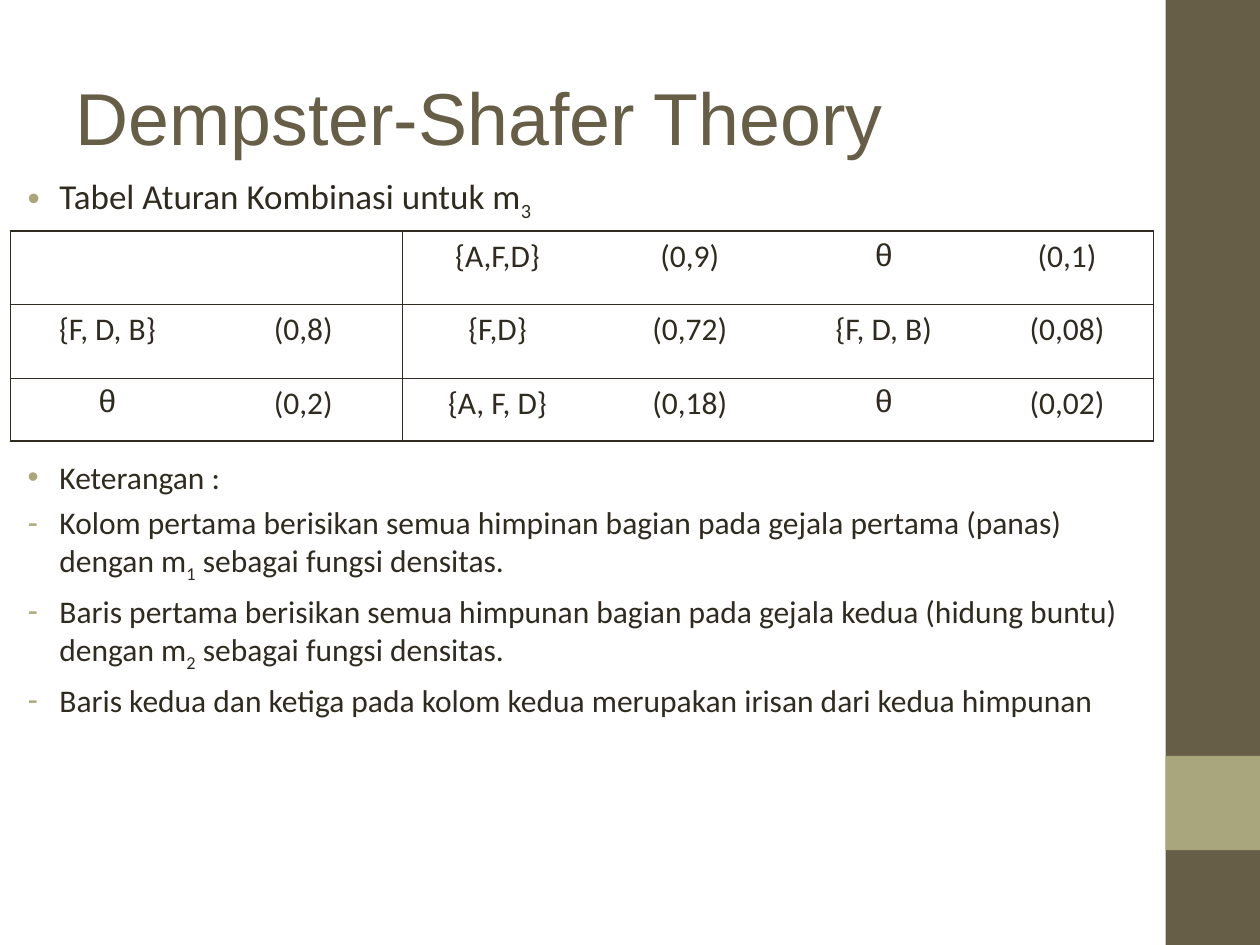
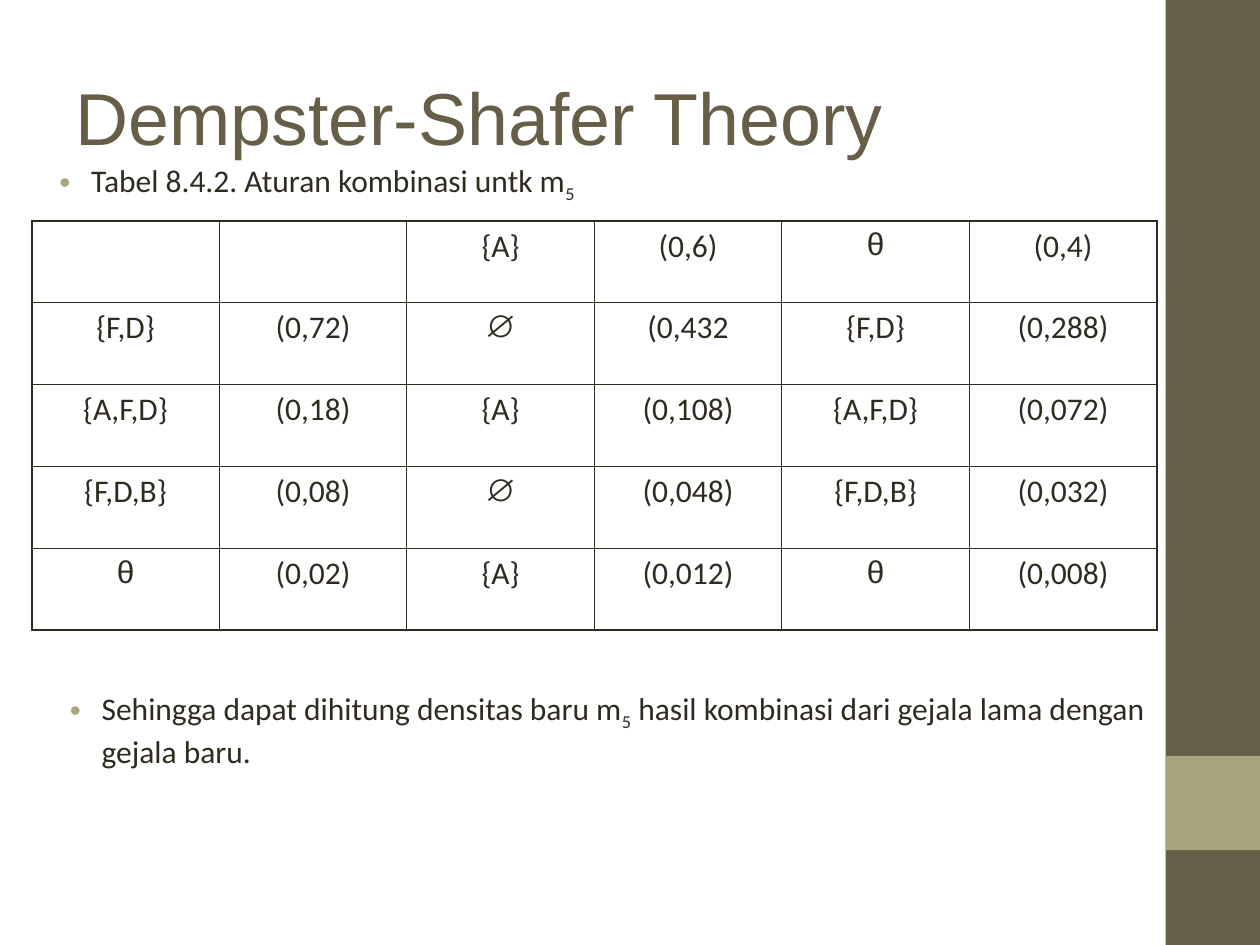
from dataclasses import dataclass

from lxml import etree
from pptx import Presentation
from pptx.dml.color import RGBColor
from pptx.enum.shapes import MSO_SHAPE
from pptx.enum.text import MSO_ANCHOR, PP_ALIGN
from pptx.oxml.ns import qn
from pptx.util import Cm, Pt

RECTANGLE = MSO_SHAPE.RECTANGLE
MIDDLE = MSO_ANCHOR.MIDDLE
CENTER = PP_ALIGN.CENTER


@dataclass(frozen=True)
class Theme:
    brown: str = "675E47"
    sage: str = "A9A57C"
    ink: str = "2F2B20"
    title_font: str = "Arial"
    body_font: str = "Calibri"
    symbol_font: str = "Arial"
    title_size: float = 42
    body_size: float = 18
    space_before: float = 4.5
    outer_line: float = 1.08
    inner_line: float = 0.45


THEME = Theme()

# Content: boxes are left, top, width, height in cm; "_" before a digit lowers it
PAGE_WIDTH, PAGE_HEIGHT = 25.4, 19.05
TITLE = "Dempster-Shafer Theory"
TITLE_BOX = (1.27, 0.76, 21.17, 3.18)
BAND_WIDTH = 1.9
ACCENT_TOP, ACCENT_HEIGHT = 15.24, 1.9
SYMBOLS = ("θ", "∅")

SLIDES = [
    {
        "caption": {"box": (0, 3.39, 23.28, 1.48), "size": 20,
                    "items": [("•", "Tabel Aturan Kombinasi untuk m_3")]},
        "table": {
            "corner": (0.21, 4.66),
            "columns": [3.91, 3.99, 3.84, 3.91, 3.91, 3.48],
            "rows": [1.48, 1.48, 1.27],
            "dividers": [2],
            "cells": [
                ["", "", "{A,F,D}", "(0,9)", "θ", "(0,1)"],
                ["{F, D, B}", "(0,8)", "{F,D}", "(0,72)", "{F, D, B)", "(0,08)"],
                ["θ", "(0,2)", "{A, F, D}", "(0,18)", "θ", "(0,02)"],
            ],
        },
        "notes": {"box": (0, 9.1, 23.28, 9.9), "size": THEME.body_size, "items": [
            ("•", "Keterangan :"),
            ("-", "Kolom pertama berisikan semua himpinan bagian pada gejala "
                  "pertama (panas) dengan m_1 sebagai fungsi densitas."),
            ("-", "Baris pertama berisikan semua himpunan bagian pada gejala "
                  "kedua (hidung buntu) dengan m_2 sebagai fungsi densitas."),
            ("-", "Baris kedua dan ketiga pada kolom kedua merupakan irisan "
                  "dari kedua himpunan"),
        ]},
    },
    {
        "caption": {"box": (0.64, 3.12, 22.23, 1.55), "size": THEME.body_size,
                    "items": [("•", "Tabel 8.4.2. Aturan kombinasi untk m_5")]},
        "table": {
            "corner": (0.64, 4.45),
            "columns": [3.78] * 6,
            "rows": [1.65] * 5,
            "dividers": [1, 2, 3, 4, 5],
            "cells": [
                ["", "", "{A}", "(0,6)", "θ", "(0,4)"],
                ["{F,D}", "(0,72)", "∅", "(0,432", "{F,D}", "(0,288)"],
                ["{A,F,D}", "(0,18)", "{A}", "(0,108)", "{A,F,D}", "(0,072)"],
                ["{F,D,B}", "(0,08)", "∅", "(0,048)", "{F,D,B}", "(0,032)"],
                ["θ", "(0,02)", "{A}", "(0,012)", "θ", "(0,008)"],
            ],
        },
        "notes": {"box": (0.85, 13.76, 23.28, 3.18), "size": THEME.body_size, "items": [
            ("•", "Sehingga dapat dihitung densitas baru m_5 hasil kombinasi "
                  "dari gejala lama dengan gejala baru."),
        ]},
    },
]


def lengths(values):
    return [Cm(value) for value in values]


# Text
def add_run(paragraph, text, font, size, color, lowered=False):
    run = paragraph.add_run()
    run.text = text
    run.font.name = font
    run.font.size = Pt(size)
    run.font.color.rgb = RGBColor.from_string(color)
    if lowered:
        run.font._element.set("baseline", "-25000")


def add_text_frame(slide, box):
    frame = slide.shapes.add_textbox(*lengths(box)).text_frame
    frame.word_wrap = True
    return frame


def set_bullet(paragraph, mark):
    properties = paragraph._p.get_or_add_pPr()
    properties.set("marL", str(Cm(0.95)))
    properties.set("indent", str(Cm(-0.64)))
    color = etree.SubElement(properties, qn("a:buClr"))
    etree.SubElement(color, qn("a:srgbClr"), val=THEME.sage)
    etree.SubElement(properties, qn("a:buFont"), typeface=THEME.symbol_font)
    etree.SubElement(properties, qn("a:buChar"), char=mark)


def add_list(slide, box, size, items):
    frame = add_text_frame(slide, box)
    for index, (mark, text) in enumerate(items):
        paragraph = frame.paragraphs[0] if index == 0 else frame.add_paragraph()
        paragraph.space_before = Pt(size / 4)
        set_bullet(paragraph, mark)
        start, *lowered_parts = text.split("_")
        add_run(paragraph, start, THEME.body_font, size, THEME.ink)
        for part in lowered_parts:
            add_run(paragraph, part[0], THEME.body_font, size, THEME.ink, lowered=True)
            if part[1:]:
                add_run(paragraph, part[1:], THEME.body_font, size, THEME.ink)


# Table
def set_border(cell, side, width):
    properties = cell._tc.get_or_add_tcPr()
    line = etree.SubElement(properties, qn(f"a:ln{side}"), w=str(Pt(width)))
    if width:
        fill = etree.SubElement(line, qn("a:solidFill"))
        etree.SubElement(fill, qn("a:srgbClr"), val=THEME.ink)
    else:
        etree.SubElement(line, qn("a:noFill"))


def edge_width(position, last, dividers):
    if position in (0, last):
        return THEME.outer_line
    return THEME.inner_line if position in dividers else 0


def add_rule_table(slide, corner, columns, rows, dividers, cells):
    box = (*corner, sum(columns), sum(rows))
    table = slide.shapes.add_table(len(rows), len(columns), *lengths(box)).table
    table.first_row = table.horz_banding = False
    for column, width in zip(table.columns, columns):
        column.width = Cm(width)
    for row, height in zip(table.rows, rows):
        row.height = Cm(height)

    row_lines = range(1, len(rows))
    for row_index, texts in enumerate(cells):
        for column_index, text in enumerate(texts):
            cell = table.cell(row_index, column_index)
            # Borders must come before the fill in the cell properties
            for side, offset in (("L", 0), ("R", 1)):
                set_border(cell, side, edge_width(column_index + offset, len(columns), dividers))
            for side, offset in (("T", 0), ("B", 1)):
                set_border(cell, side, edge_width(row_index + offset, len(rows), row_lines))
            cell.fill.background()
            if text:
                paragraph = cell.text_frame.paragraphs[0]
                paragraph.alignment = CENTER
                paragraph.space_before = Pt(THEME.space_before)
                font = THEME.symbol_font if text in SYMBOLS else THEME.body_font
                add_run(paragraph, text, font, THEME.body_size, THEME.ink)


# Parts shared by the slides
def add_band(slide, top, height, color):
    box = (PAGE_WIDTH - BAND_WIDTH, top, BAND_WIDTH, height)
    band = slide.shapes.add_shape(RECTANGLE, *lengths(box))
    band.shadow.inherit = False
    band.fill.solid()
    band.fill.fore_color.rgb = RGBColor.from_string(color)
    band.line.fill.background()


def add_frame(slide):
    add_band(slide, 0, PAGE_HEIGHT, THEME.brown)
    add_band(slide, ACCENT_TOP, ACCENT_HEIGHT, THEME.sage)
    title = add_text_frame(slide, TITLE_BOX)
    title.vertical_anchor = MIDDLE
    add_run(title.paragraphs[0], TITLE, THEME.title_font, THEME.title_size, THEME.brown)


def main():
    presentation = Presentation()
    presentation.slide_width = Cm(PAGE_WIDTH)
    presentation.slide_height = Cm(PAGE_HEIGHT)
    blank_layout = presentation.slide_layouts[6]
    for content in SLIDES:
        slide = presentation.slides.add_slide(blank_layout)
        add_frame(slide)
        add_list(slide, **content["caption"])
        add_rule_table(slide, **content["table"])
        add_list(slide, **content["notes"])
    presentation.save("out.pptx")


if __name__ == "__main__":
    main()
